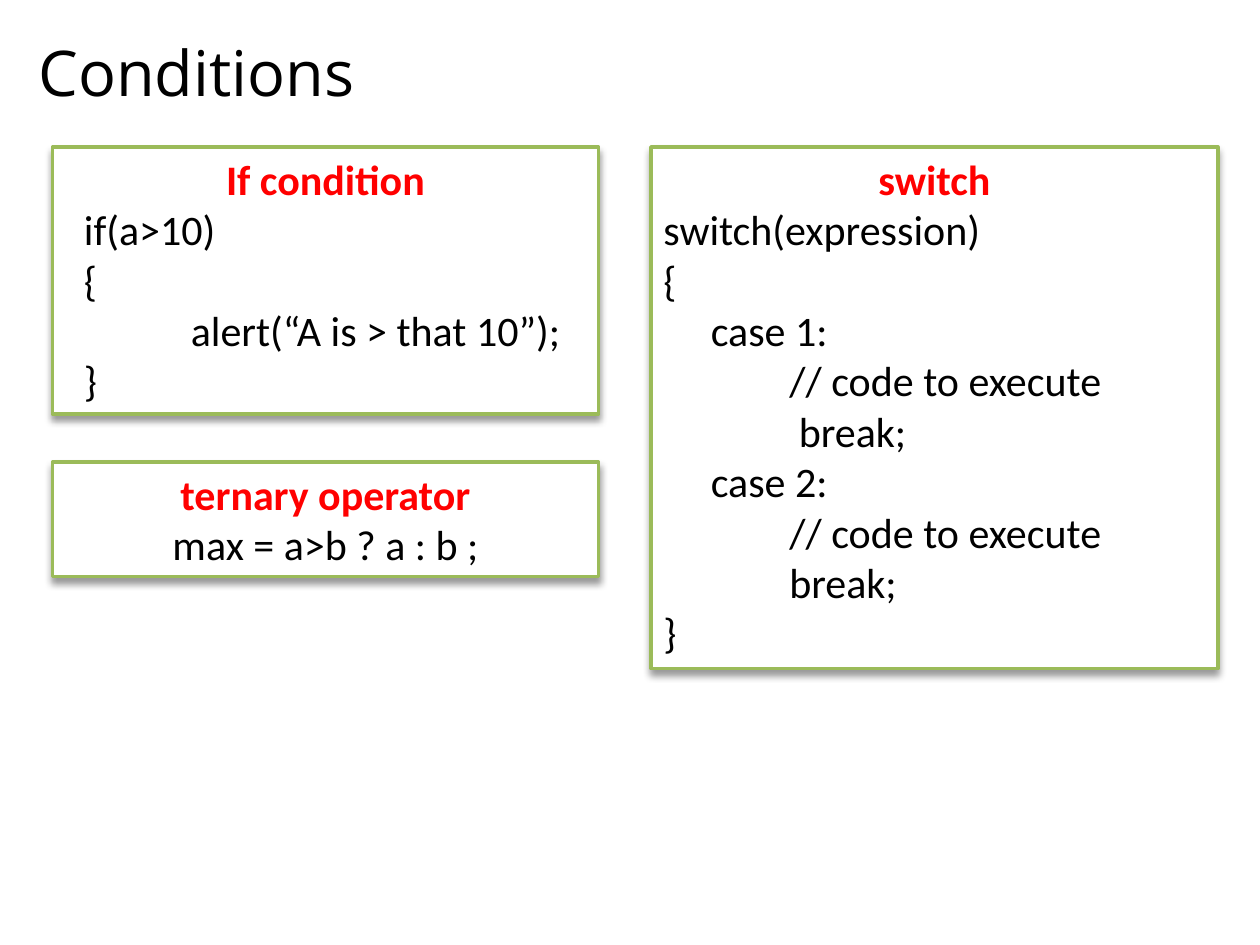
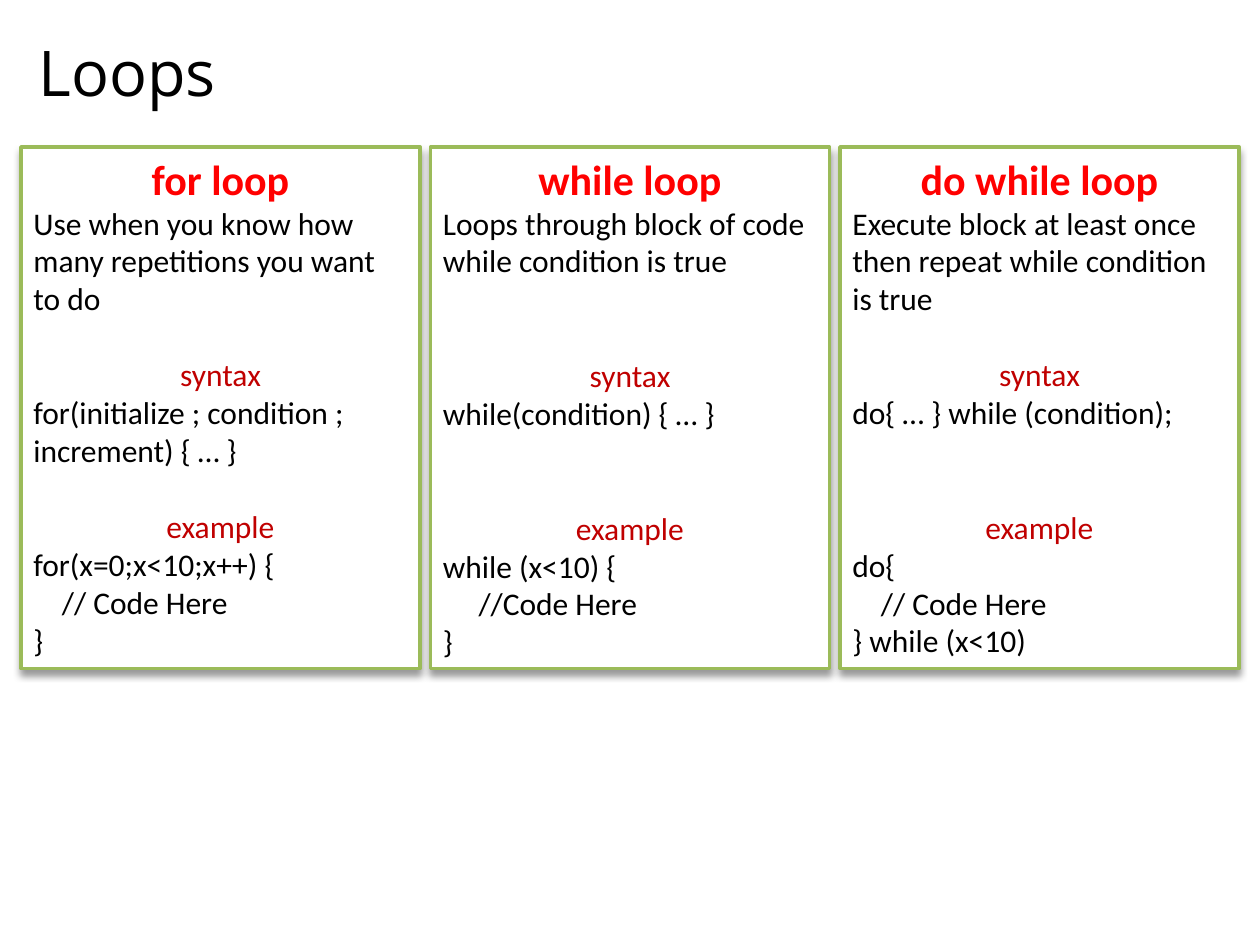
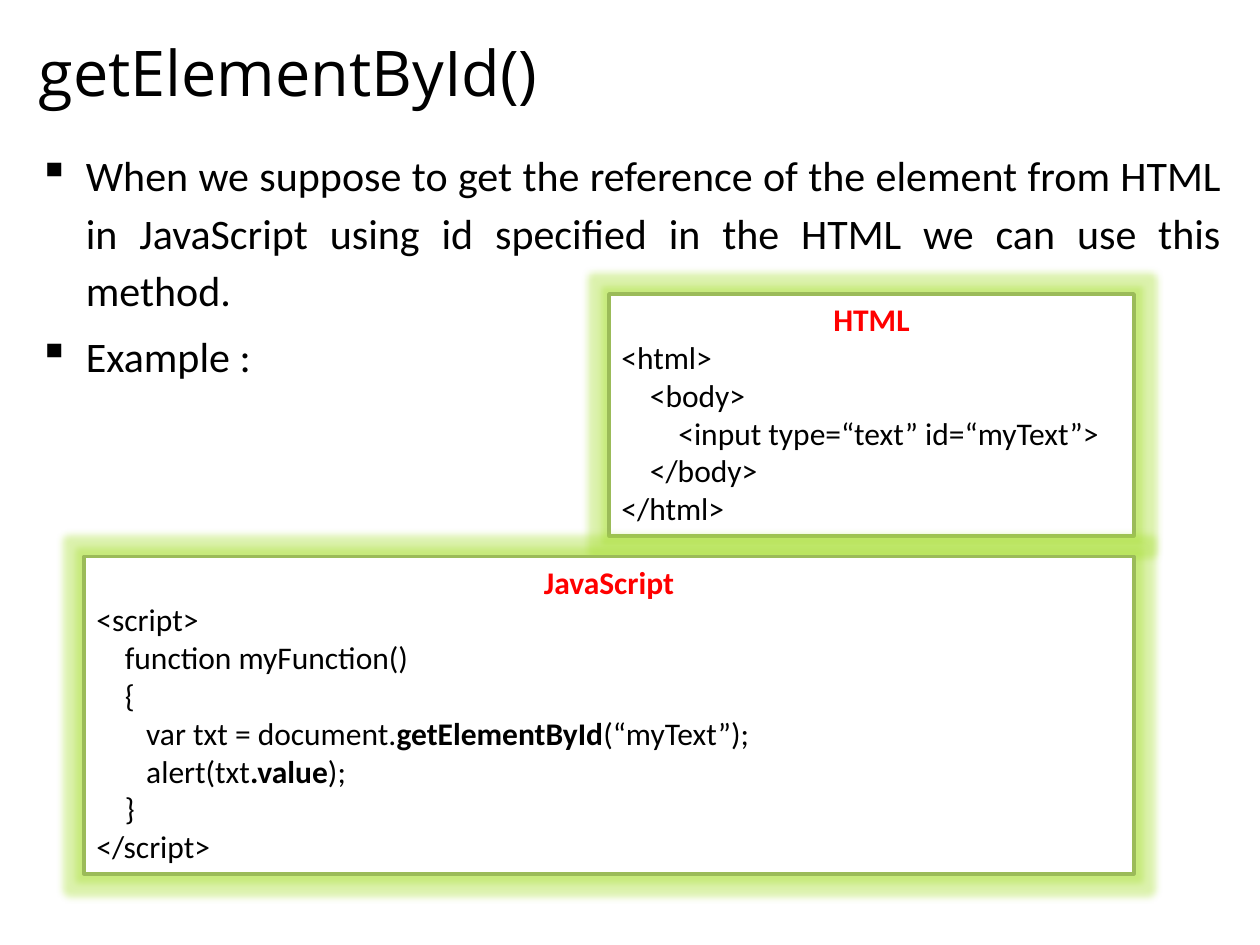
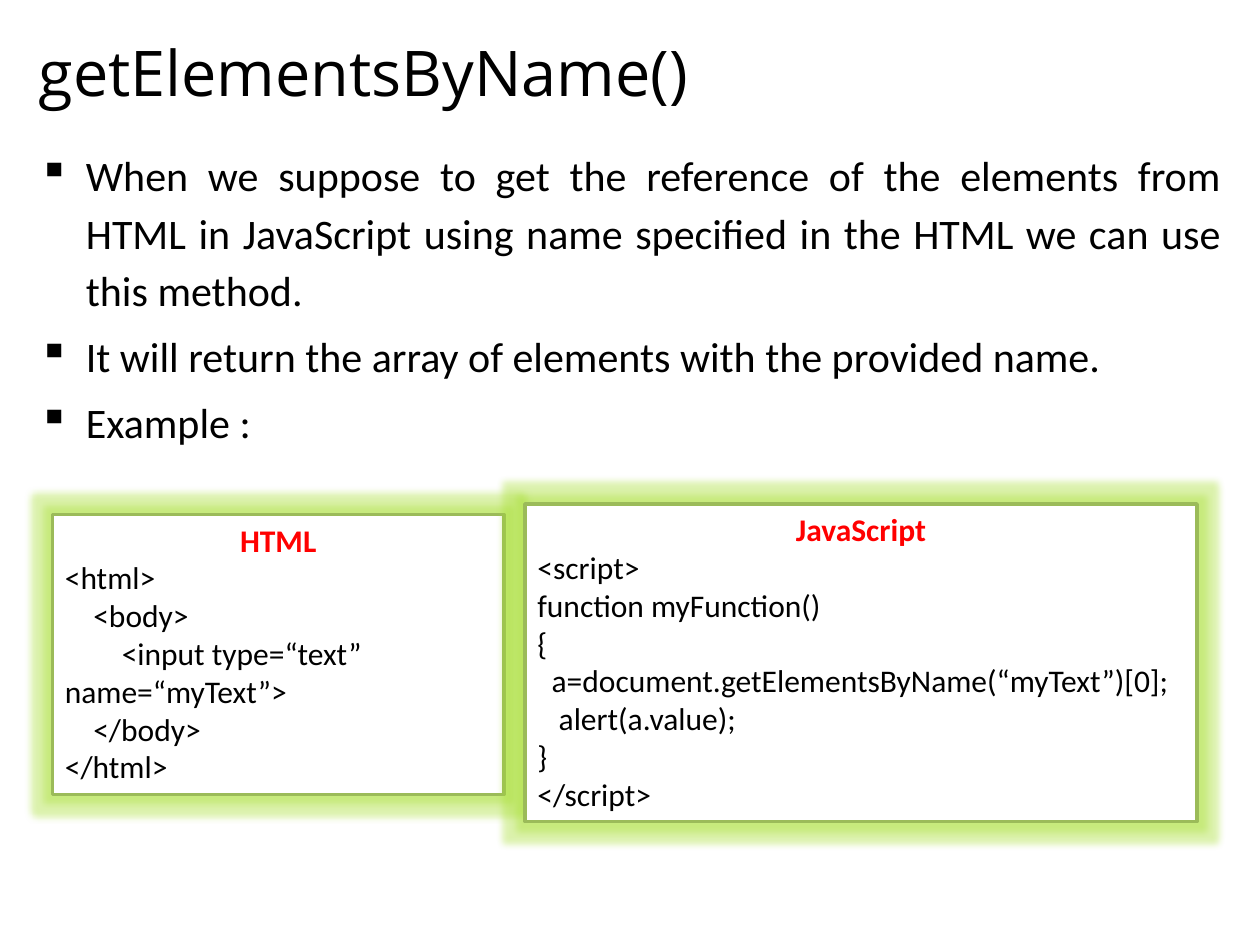
from dataclasses import dataclass

import lxml.etree
import pptx
import pptx.dml.color
import pptx.enum.shapes
import pptx.enum.text
import pptx.oxml.ns
import pptx.util

Pt = pptx.util.Pt
qn = pptx.oxml.ns.qn
ALIGN = pptx.enum.text.PP_ALIGN

BLACK = "000000"
WHITE = "FFFFFF"
RED = "FF0000"
DARK_RED = "C00000"
GREEN = "9BBB59"
GLOW_GREEN = "A8DF34"
BODY_FONT = "Calibri"
TITLE_FONT = "Open Sans"
SPACE_EM = 0.226
TAB = 72
BLANK_LINE = 22


@dataclass(frozen=True)
class Line:
    text: str
    spaces: int = 0
    tabs: int = 0
    color: str = BLACK
    centered: bool = False
    before: float = 0


@dataclass(frozen=True)
class Panel:
    left: float
    top: float
    width: float
    height: float
    heading: str
    lines: tuple[Line, ...]
    size: int = 18
    heading_size: int = 24
    glow: bool = False


@dataclass(frozen=True)
class Page:
    title: str
    panels: tuple[Panel, ...]
    bullets: tuple[str, ...] = ()


def rgb(color: str) -> pptx.dml.color.RGBColor:
    return pptx.dml.color.RGBColor.from_string(color)


def style(p, font: str, size: float, color: str, align=ALIGN.LEFT) -> None:
    p.alignment = align
    p.font.name = font
    p.font.size = Pt(size)
    p.font.color.rgb = rgb(color)


def set_indent(p, left: float, first: float) -> None:
    pPr = p._p.get_or_add_pPr()
    pPr.set("marL", str(Pt(left)))
    pPr.set("indent", str(Pt(first)))


def next_paragraph(tf, i: int):
    return tf.add_paragraph() if i else tf.paragraphs[0]


def add_color(parent, color: str, alpha: int | None = None) -> None:
    clr = lxml.etree.SubElement(parent, qn("a:srgbClr"), val=color)
    if alpha is not None:
        lxml.etree.SubElement(clr, qn("a:alpha"), val=str(alpha * 1000))


def add_effect(sp, glow: bool) -> None:
    sp.shadow.inherit = False
    effects = sp._element.spPr.find(qn("a:effectLst"))
    if glow:
        effect = lxml.etree.SubElement(effects, qn("a:glow"), rad=str(Pt(8)))
        add_color(effect, GLOW_GREEN, 40)
    else:
        effect = lxml.etree.SubElement(
            effects, qn("a:outerShdw"), blurRad=str(Pt(4)), dist=str(Pt(3)),
            dir="5400000", rotWithShape="0")
        add_color(effect, BLACK, 40)


def add_text_box(s, left: float, top: float, width: float, height: float):
    tf = s.shapes.add_textbox(Pt(left), Pt(top), Pt(width), Pt(height)).text_frame
    tf.word_wrap = True
    return tf


def add_title(s, text: str) -> None:
    tf = add_text_box(s, 15, 9, 690, 63)
    tf.vertical_anchor = pptx.enum.text.MSO_ANCHOR.MIDDLE
    p = tf.paragraphs[0]
    p.text = text
    style(p, TITLE_FONT, 36, BLACK)


def add_bullets(s, bullets: tuple[str, ...]) -> None:
    tf = add_text_box(s, 15, 78, 690, 420)
    for i, text in enumerate(bullets):
        p = next_paragraph(tf, i)
        p.text = text
        style(p, BODY_FONT, 24, BLACK, ALIGN.JUSTIFY)
        p.line_spacing = 1.14
        p.space_before = Pt(4.8)
        set_indent(p, 27, -27)
        pPr = p._p.get_or_add_pPr()
        bullet_color = lxml.etree.Element(qn("a:buClr"))
        add_color(bullet_color, BLACK)
        bullet = lxml.etree.Element(qn("a:buChar"), char="▪")
        pPr.find(qn("a:spcBef")).addnext(bullet_color)
        bullet_color.addnext(bullet)


def add_panel(s, panel: Panel) -> None:
    sp = s.shapes.add_shape(
        pptx.enum.shapes.MSO_SHAPE.RECTANGLE,
        Pt(panel.left), Pt(panel.top), Pt(panel.width), Pt(panel.height))
    sp.fill.solid()
    sp.fill.fore_color.rgb = rgb(WHITE)
    sp.line.color.rgb = rgb(GREEN)
    sp.line.width = Pt(2)
    add_effect(sp, panel.glow)

    tf = sp.text_frame
    tf.word_wrap = True
    tf.auto_size = pptx.enum.text.MSO_AUTO_SIZE.SHAPE_TO_FIT_TEXT
    tf.vertical_anchor = pptx.enum.text.MSO_ANCHOR.TOP
    p = tf.paragraphs[0]
    p.text = panel.heading
    style(p, BODY_FONT, panel.heading_size, RED, ALIGN.CENTER)
    p.font.bold = True

    for line in panel.lines:
        p = tf.add_paragraph()
        for i, part in enumerate(line.text.split("**")):
            r = p.add_run()
            r.text = part
            if i % 2:
                r.font.bold = True
        style(p, BODY_FONT, panel.size, line.color,
              ALIGN.CENTER if line.centered else ALIGN.LEFT)
        if line.before:
            p.space_before = Pt(line.before)
        indent = line.tabs * TAB + line.spaces * SPACE_EM * panel.size
        if indent:
            set_indent(p, 0, round(indent, 2))


def condition_panel(left: float, top: float, width: float, height: float,
                    heading: str, *lines: Line) -> Panel:
    return Panel(left, top, width, height, heading, lines, size=24)


def loop_panel(column: int, heading: str, purpose: str, syntax: str,
               example: tuple[Line, ...], gaps: tuple[int, int]) -> Panel:
    def label(text: str, gap: int) -> Line:
        return Line(text, color=DARK_RED, centered=True, before=gap * BLANK_LINE)

    lines = (Line(purpose), label("syntax", gaps[0]), Line(syntax),
             label("example", gaps[1]), *example)
    return Panel(12 + 234 * column, 84, 228, 298, heading, lines)


def code_panel(left: float, top: float, width: float, height: float,
               heading: str, *lines: Line) -> Panel:
    return Panel(left, top, width, height, heading, lines,
                 heading_size=18, glow=True)


def html_panel(left: float, top: float, width: float, height: float,
               field: str) -> Panel:
    return code_panel(
        left, top, width, height, "HTML",
        Line("<html>"), Line("<body>", 4),
        Line(f"<input type=“text” {field}=“myText”>", 8),
        Line("</body>", 4), Line("</html>"))


PAGES = (
    Page("Conditions", (
        condition_panel(
            30, 84, 312, 152.6, "If condition",
            Line("if(a>10)", 2), Line("{", 2),
            Line("alert(“A is > that 10”);", tabs=1), Line("}", 2)),
        condition_panel(
            372, 84, 324, 298, "switch",
            Line("switch(expression)"), Line("{"),
            Line("case 1:", 5), Line("// code to execute", tabs=1),
            Line("break;", 1, tabs=1),
            Line("case 2:", 5), Line("// code to execute", tabs=1),
            Line("break;", tabs=1), Line("}")),
        condition_panel(
            30, 264, 312, 65.5, "ternary operator",
            Line("max = a>b ? a : b ;", centered=True)),
    )),
    Page("Loops", (
        loop_panel(
            0, "for loop",
            "Use when you know how many repetitions you want to do",
            "for(initialize ; condition ; increment) { … }",
            (Line("for(x=0;x<10;x++) {"), Line("// Code Here", 4), Line("}")),
            (1, 1)),
        loop_panel(
            1, "while loop",
            "Loops through block of code while condition is true",
            "while(condition) { … }",
            (Line("while (x<10) {"), Line("//Code Here", 5), Line("}")),
            (2, 2)),
        loop_panel(
            2, "do while loop",
            "Execute block at least once then repeat while condition is true",
            "do{ … } while (condition);",
            (Line("do{"), Line("// Code Here", 4), Line("} while (x<10)")),
            (1, 2)),
    )),
    Page("getElementById()", (
        html_panel(348, 168, 300, 138.2, "id"),
        code_panel(
            48, 318, 600, 181.4, "JavaScript",
            Line("<script>"), Line("function myFunction()", 4), Line("{", 4),
            Line("var txt = document.**getElementById**(“myText”);", 7),
            Line("alert(txt**.value**);", 7), Line("}", 4), Line("</script>")),
    ), (
        "When we suppose to get the reference of the element from HTML in "
        "JavaScript using id specified in the HTML we can use this method.",
        "Example :",
    )),
    Page("getElementsByName()", (
        html_panel(30, 294, 258, 160, "name"),
        code_panel(
            300, 288, 384, 181.4, "JavaScript",
            Line("<script>"), Line("function myFunction()"), Line("{"),
            Line("a=document.getElementsByName(“myText”)[0];", 2),
            Line("alert(a.value);", 3), Line("}"), Line("</script>")),
    ), (
        "When we suppose to get the reference of the elements from HTML in "
        "JavaScript using name specified in the HTML we can use this method.",
        "It will return the array of elements with the provided name.",
        "Example :",
    )),
)


def main() -> None:
    prs = pptx.Presentation()
    prs.slide_width = Pt(720)
    prs.slide_height = Pt(540)
    for page in PAGES:
        s = prs.slides.add_slide(prs.slide_layouts[6])
        add_title(s, page.title)
        if page.bullets:
            add_bullets(s, page.bullets)
        for panel in page.panels:
            add_panel(s, panel)
    prs.save("out.pptx")


if __name__ == "__main__":
    main()
